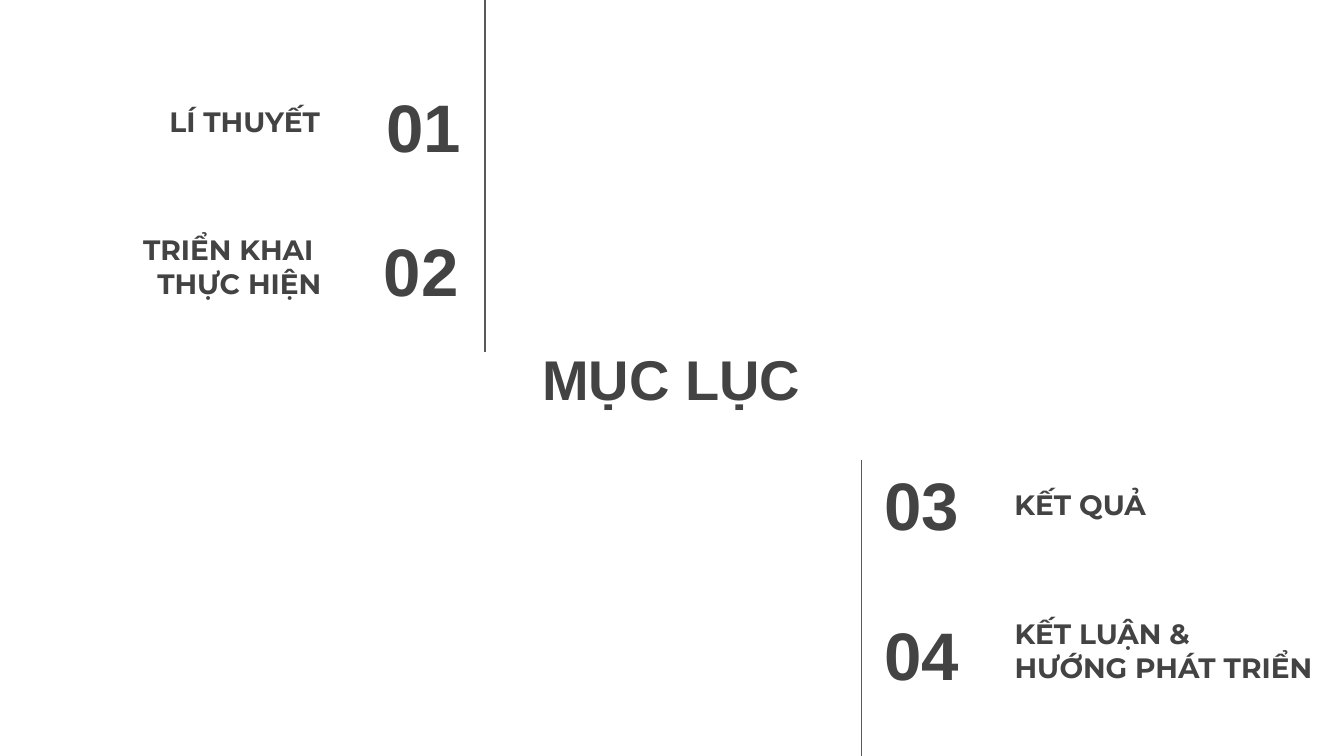
from lxml import etree
from pptx import Presentation
from pptx import util as u
from pptx.dml.color import RGBColor
from pptx.enum import shapes, text
from pptx.oxml.ns import qn

WIDTH = 10
HEIGHT = WIDTH * 9 / 16
COLORS = {"background": "FFFFFF", "text": "434343", "rule": "595959"}
LEFT, CENTER, RIGHT = text.PP_ALIGN.LEFT, text.PP_ALIGN.CENTER, text.PP_ALIGN.RIGHT
MIDDLE, BOTTOM = text.MSO_ANCHOR.MIDDLE, text.MSO_ANCHOR.BOTTOM
ROW_HEIGHT = 0.63

TITLE = "MỤC LỤC"
# number, its left, top and width; label (\v breaks the line), its left, top and width; alignment
SECTIONS = [
    ("01", (2.32, 0.62, 1.21), "LÍ THUYẾT", (0.32, 0.5, 2.16), RIGHT),
    ("02", (2.3, 1.69, 1.21), "TRIỂN KHAI \vTHỰC HIỆN", (0.33, 1.7, 2.16), RIGHT),
    ("03", (6.48, 3.43, 1.17), "KẾT QUẢ", (7.45, 3.35, 2.16), LEFT),
    ("04", (6.48, 4.55, 1.17), "KẾT LUẬN &\vHƯỚNG PHÁT TRIỂN", (7.45, 4.56, 2.55), LEFT),
]
RULES = [(3.61, 0, 2.62), (6.41, 3.42, 5.64)]  # x, top, bottom


def color(name):
    return RGBColor.from_string(COLORS[name])


def write(box, words, font, size, align, anchor):
    frame = box.text_frame
    frame.word_wrap = True
    frame.auto_size = text.MSO_AUTO_SIZE.NONE
    frame.vertical_anchor = anchor
    frame.margin_left = frame.margin_right = u.Inches(0.1)
    frame.margin_top = frame.margin_bottom = u.Inches(0.1)
    frame.text = words
    para = frame.paragraphs[0]
    para.alignment = align
    for span in para.runs:
        span.font.name = font
        span.font.size = u.Pt(size)
        span.font.bold = True
        span.font.color.rgb = color("text")


def add_text(page, place, *style):
    left, top, width = place
    box = page.shapes.add_textbox(*map(u.Inches, (left, top, width, ROW_HEIGHT)))
    write(box, *style)


def add_rule(page, x, top, bottom):
    rule = page.shapes.add_connector(
        shapes.MSO_CONNECTOR.STRAIGHT, *map(u.Inches, (x, top, x, bottom)))
    rule.line.color.rgb = color("rule")
    rule.line.width = u.Pt(0.75)
    etree.SubElement(rule._element.spPr, qn("a:effectLst"))


def main():
    deck = Presentation()
    deck.slide_width, deck.slide_height = u.Inches(WIDTH), u.Inches(HEIGHT)
    page = deck.slides.add_slide(deck.slide_layouts.get_by_name("Title Only"))
    page.background.fill.solid()
    page.background.fill.fore_color.rgb = color("background")

    title = page.shapes.title
    title.left, title.top, title.width, title.height = map(u.Inches, (3.7, 2.3, 2.59, 1.03))
    write(title, TITLE, "Arial", 30, CENTER, MIDDLE)

    for number, number_place, label, label_place, align in SECTIONS:
        add_text(page, number_place, number, "Arial", 36, align, MIDDLE)
        add_text(page, label_place, label, "Montserrat", 15, align, BOTTOM)
    for rule in RULES:
        add_rule(page, *rule)

    deck.save("out.pptx")


if __name__ == "__main__":
    main()
